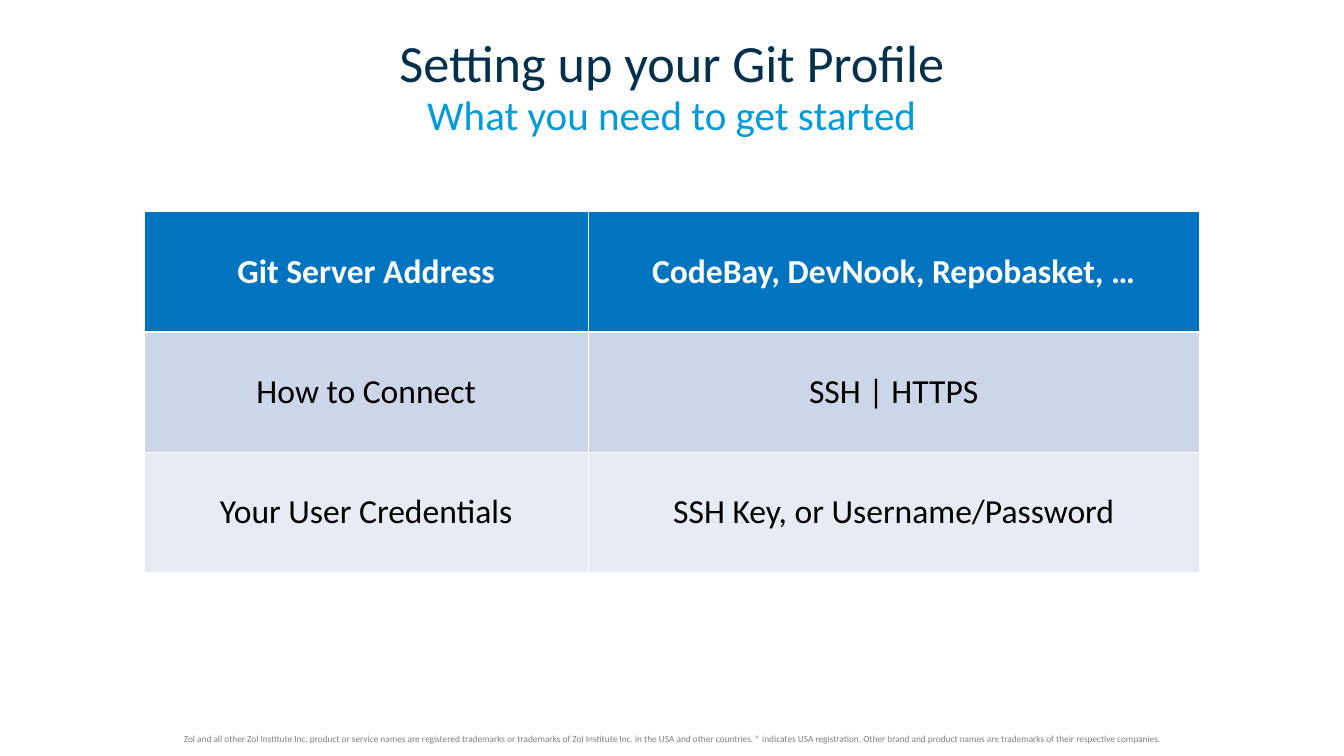
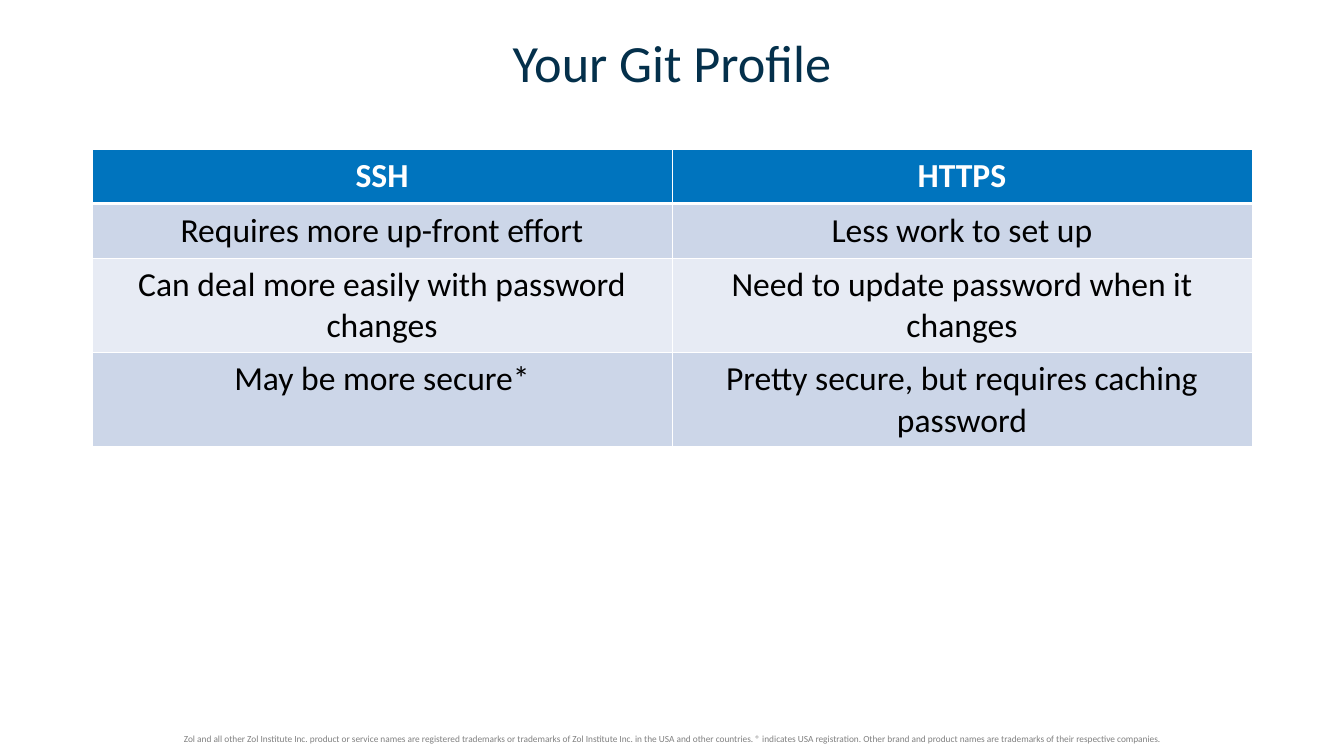
from lxml.etree import SubElement
from pptx import Presentation
from pptx.dml.color import RGBColor
from pptx.enum.text import MSO_ANCHOR, MSO_AUTO_SIZE, PP_ALIGN
from pptx.oxml import parse_xml
from pptx.oxml.ns import nsdecls, qn
from pptx.util import Inches, Pt

WIDTH, HEIGHT = 20, 11.25
MARGIN = 1.37
CONTENT_WIDTH = WIDTH - 2 * MARGIN
FONT = "Calibri"

NAVY = RGBColor(0x04, 0x30, 0x4B)
SKY = RGBColor(0x02, 0x9B, 0xDA)
BLUE = RGBColor(0x00, 0x74, 0xBE)
BAND = RGBColor(0xCC, 0xD6, 0xE8)
PALE_BAND = RGBColor(0xE7, 0xEB, 0xF4)
GREY = RGBColor(0x80, 0x80, 0x80)
WHITE = RGBColor(0xFF, 0xFF, 0xFF)
BLACK = RGBColor(0x00, 0x00, 0x00)

TRADEMARK_NOTE = (
    "Zol and all other Zol Institute Inc. product or service names are registered "
    "trademarks or trademarks of Zol Institute Inc. in the USA and other countries. "
    "® indicates USA registration. Other brand and product names are trademarks of "
    "their respective companies."
)
PROFILE_ROWS = [
    ("Git Server Address", "CodeBay, DevNook, Repobasket, …"),
    ("How to Connect", "SSH | HTTPS"),
    ("Your User Credentials", "SSH Key, or Username/Password"),
]
COMPARISON_ROWS = [
    ("SSH", "HTTPS"),
    ("Requires more up-front effort", "Less work to set up"),
    ("Can deal more easily with password changes", "Need to update password when it changes"),
    ("May be more secure*", "Pretty secure, but requires caching password"),
]


def write_text(frame, text, size, color, bold=False):
    paragraph = frame.paragraphs[0]
    paragraph.alignment = PP_ALIGN.CENTER
    span = paragraph.add_run()
    span.text = text
    span.font.name = FONT
    span.font.size = Pt(size)
    span.font.bold = bold
    span.font.color.rgb = color


def add_text(page, text, left, top, width, height, anchor=MSO_ANCHOR.TOP, **text_format):
    box = page.shapes.add_textbox(Inches(left), Inches(top), Inches(width), Inches(height))
    box.text_frame.word_wrap = True
    box.text_frame.vertical_anchor = anchor
    write_text(box.text_frame, text, **text_format)


def add_page(deck, title_text):
    page = deck.slides.add_slide(deck.slide_layouts[5])
    title = page.shapes.title
    title.left, title.top = Inches(MARGIN), Inches(0.42)
    title.width, title.height = Inches(CONTENT_WIDTH), Inches(1)
    title.text_frame.auto_size = MSO_AUTO_SIZE.NONE
    title.text_frame.vertical_anchor = MSO_ANCHOR.MIDDLE
    write_text(title.text_frame, title_text, size=56, color=NAVY)
    add_text(page, TRADEMARK_NOTE, 0, 10.86, WIDTH, HEIGHT - 10.86, size=10, color=GREY)
    return page


def set_borders(cell, top=1, bottom=1):
    properties = cell._tc.get_or_add_tcPr()
    widths = {"lnL": 1, "lnR": 1, "lnT": top, "lnB": bottom}
    for index, (side, width) in enumerate(widths.items()):
        line = parse_xml(f'<a:{side} {nsdecls("a")} w="{Pt(width)}"/>')
        fill = SubElement(line, qn("a:solidFill"))
        SubElement(fill, qn("a:srgbClr"), val=str(WHITE))
        properties.insert(index, line)


def add_grid(page, rows, left, top, column_widths, row_heights, anchor=MSO_ANCHOR.TOP):
    frame = page.shapes.add_table(
        len(rows), len(column_widths), Inches(left), Inches(top),
        Inches(sum(column_widths)), Inches(sum(row_heights)),
    )
    table = frame.table
    for column, width in zip(table.columns, column_widths):
        column.width = Inches(width)
    for index, (row, height, texts) in enumerate(zip(table.rows, row_heights, rows)):
        row.height = Inches(height)
        header = index == 0
        for cell, text in zip(row.cells, texts):
            cell.margin_left = cell.margin_right = Inches(0.2)
            cell.margin_top = cell.margin_bottom = Inches(0.1)
            cell.vertical_anchor = anchor
            cell.fill.solid()
            cell.fill.fore_color.rgb = BLUE if header else BAND if index % 2 else PALE_BAND
            set_borders(cell, top=3 if index == 1 else 1, bottom=3 if header else 1)
            write_text(cell.text_frame, text, size=36, color=WHITE if header else BLACK, bold=header)


def add_setup_page(deck):
    page = add_page(deck, "Setting up your Git Profile")
    add_text(page, "What you need to get started", MARGIN, 1.4, CONTENT_WIDTH, 0.6,
             anchor=MSO_ANCHOR.MIDDLE, size=44, color=SKY)
    add_grid(page, PROFILE_ROWS, 2.15, 3.15, [6.6, 9.1], [1.79] * 3, anchor=MSO_ANCHOR.MIDDLE)


def add_comparison_page(deck):
    page = add_page(deck, "Your Git Profile")
    add_grid(page, COMPARISON_ROWS, MARGIN, 2.22, [CONTENT_WIDTH / 2] * 2, [0.81, 0.81, 1.4, 1.4])


def main():
    deck = Presentation()
    deck.slide_width, deck.slide_height = Inches(WIDTH), Inches(HEIGHT)
    add_setup_page(deck)
    add_comparison_page(deck)
    deck.save("out.pptx")


if __name__ == "__main__":
    main()
